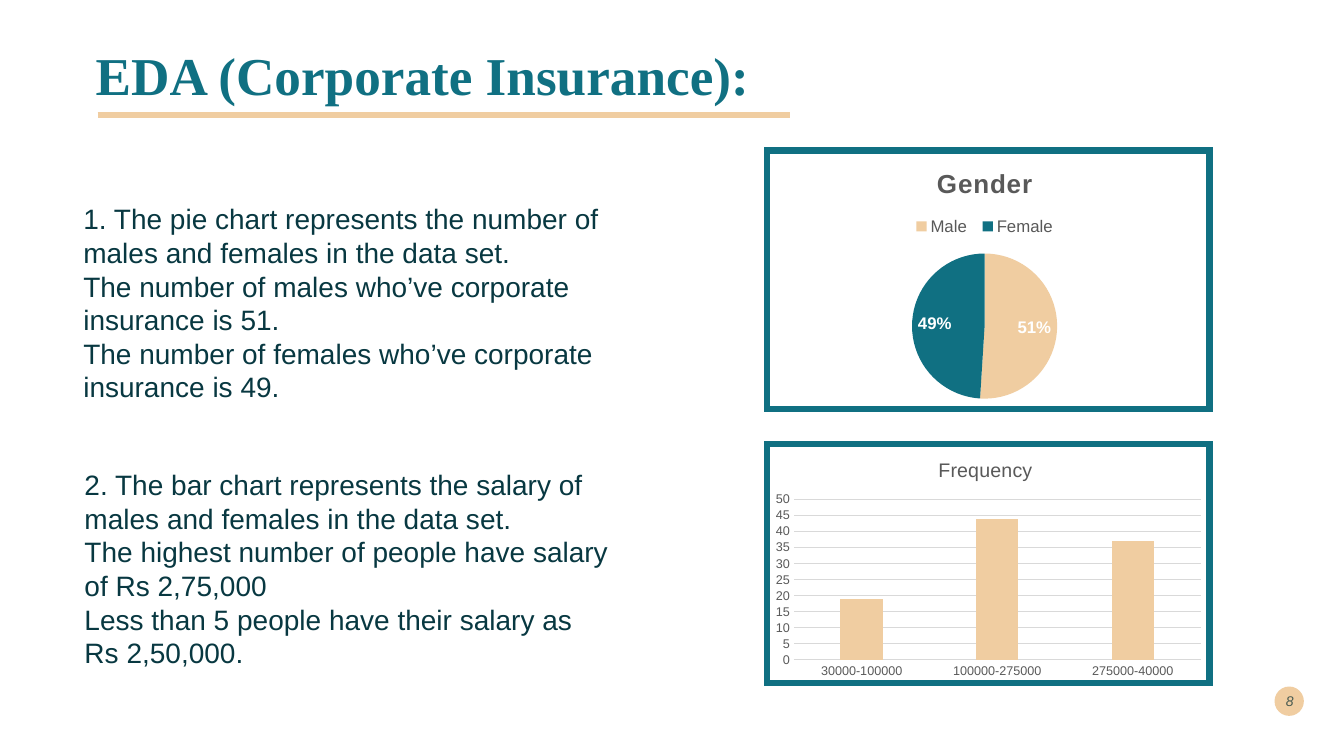
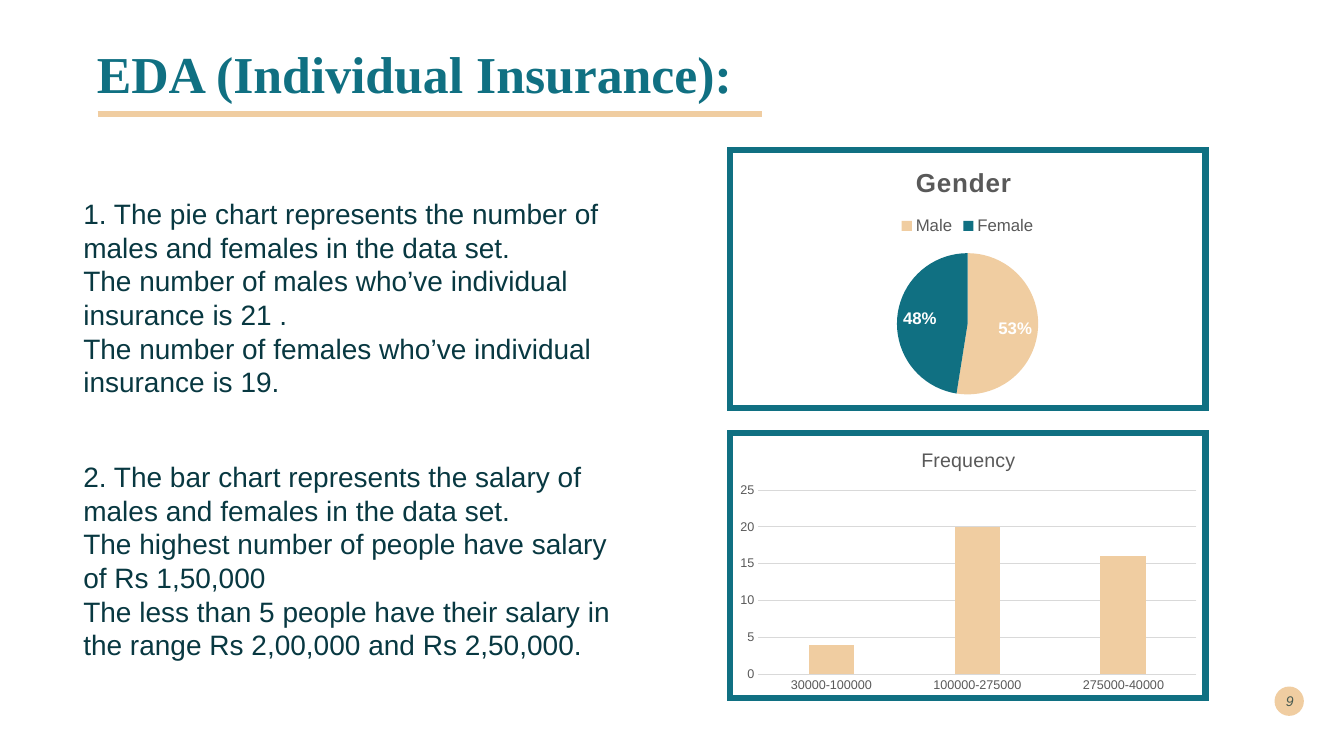
"""Build two slides on the corporate and individual insurance data."""
from lxml import etree
from pptx import Presentation
from pptx.chart.data import CategoryChartData
from pptx.dml.color import RGBColor
from pptx.enum.chart import (XL_CHART_TYPE, XL_LABEL_POSITION,
                             XL_LEGEND_POSITION, XL_TICK_MARK)
from pptx.enum.shapes import MSO_CONNECTOR, MSO_SHAPE
from pptx.enum.text import MSO_ANCHOR, PP_ALIGN
from pptx.oxml.ns import qn
from pptx.util import Cm, Pt

PIE, BAR = XL_CHART_TYPE.PIE, XL_CHART_TYPE.COLUMN_CLUSTERED
IN_END, TOP = XL_LABEL_POSITION.INSIDE_END, XL_LEGEND_POSITION.TOP
NO_TICK = XL_TICK_MARK.NONE
OVAL, RECT, LINE = MSO_SHAPE.OVAL, MSO_SHAPE.RECTANGLE, MSO_CONNECTOR.STRAIGHT
MIDDLE, UPPER = MSO_ANCHOR.MIDDLE, MSO_ANCHOR.TOP
RIGHT, LEFT = PP_ALIGN.RIGHT, PP_ALIGN.LEFT

TEAL, SAND, WHITE = "107082", "F0CDA1", "FFFFFF"
INK, GREY, RULE, PAGE = "083841", "595959", "D9D9D9", "485A50"
SANS, SERIF = "Arial", "Times New Roman"
BANDS = ["30000-100000", "100000-275000", "275000-40000"]
PIE_DROP = 2.6

SLIDES = [
    {
        "page": "8",
        "title": ("EDA (Corporate Insurance):", 38, (2.16, 0.13, 30.5, 3.68)),
        "rule": (2.46, 19.91, 2.9),
        "notes": [
            ((1.85, 4.96, 14.17, 5.38), [
                "1. The pie chart represents the number of males and females in the data set.",
                "The number of males who’ve corporate insurance is 51.",
                "The number of females who’ve corporate insurance is 49."]),
            ((1.88, 11.66, 14.17, 5.38), [
                "2. The bar chart represents the salary of males and females in the data set.",
                "The highest number of people have salary of Rs 2,75,000",
                "Less than 5 people have their salary as",
                "Rs 2,50,000."]),
        ],
        "frames": [(19.33, 3.79, 11.15, 6.51), (19.33, 11.19, 11.15, 6.03)],
        "pie": {"box": (17.98, 3.79, 13.67, 6.6), "size": 3.66,
                "name": "Gender", "cats": ["Male ", "Female"],
                "vals": [51, 49]},
        "bar": {"box": (19.33, 11.18, 11.15, 6.04), "name": "Frequency ",
                "vals": [19, 44, 37], "top": 50},
    },
    {
        "page": "9",
        "title": ("EDA (Individual Insurance):", 37, (2.19, 0.1, 29.2, 3.68)),
        "rule": (2.46, 19.2, 2.87),
        "notes": [
            ((1.85, 4.83, 14.4, 5.38), [
                "1. The pie chart represents the number of males and females in the data set.",
                "The number of males who’ve individual insurance is 21 .",
                "The number of females who’ve individual insurance is 19."]),
            ((1.85, 11.46, 14.4, 5.38), [
                "2. The bar chart represents the salary of males and females in the data set.",
                "The highest number of people have salary of Rs 1,50,000",
                "The less than 5 people have their salary in the range Rs 2,00,000 and Rs 2,50,000."]),
        ],
        "frames": [(18.39, 3.78, 11.99, 6.5), (18.39, 10.91, 11.99, 6.68)],
        "pie": {"box": (18.39, 3.78, 11.99, 6.5), "size": 3.56,
                "name": "Gender ", "cats": ["Male", "Female"],
                "vals": [21, 19]},
        "bar": {"box": (18.42, 10.91, 11.97, 6.68), "name": "Frequency",
                "vals": [4, 20, 16], "top": 25},
    },
]


def rgb(code):
    """Turn a hex string into a colour."""
    return RGBColor.from_string(code)


def cms(box):
    """Turn numbers into centimetres."""
    return [Cm(n) for n in box]


def put(item, **vals):
    """Set each named attribute."""
    for name, val in vals.items():
        setattr(item, name, val)


def style(font, size, color, **vals):
    """Format a font."""
    put(font, **{"name": SANS, "size": Pt(size), "bold": False, **vals})
    font.color.rgb = rgb(color)


def paint(fill, color):
    """Fill with one colour."""
    fill.solid()
    fill.fore_color.rgb = rgb(color)


def stroke(line, color, width):
    """Format a line."""
    paint(line.fill, color)
    line.width = Pt(width)


def write(item, lines, size, color, anchor=UPPER, align=LEFT, gap=1.0,
          **vals):
    """Write one paragraph a line."""
    frame = item.text_frame
    put(frame, word_wrap=True, vertical_anchor=anchor)
    frame.text = "\n".join(lines)
    for para in frame.paragraphs:
        put(para, alignment=align, line_spacing=gap)
        style(para.runs[0].font, size, color, **vals)


def shape(slide, kind, box, fill=None):
    """Add a shape with no shadow and no line."""
    item = slide.shapes.add_shape(kind, *cms(box))
    item.shadow.inherit = False
    item.line.fill.background()
    if fill:
        paint(item.fill, fill)
    else:
        item.fill.background()
    return item


def chart(slide, kind, box, name, cats, vals, size, bold=False):
    """Add a titled chart with one series."""
    data = CategoryChartData()
    data.categories = cats
    data.add_series(name, vals)
    item = slide.shapes.add_chart(kind, *cms(box), data).chart
    style(item.font, 10, "000000")
    item.has_title = True
    frame = item.chart_title.text_frame
    frame.text = name
    style(frame.paragraphs[0].runs[0].font, size, GREY, bold=bold)
    return item


def place(item, box, size):
    """Centre a square plot area in the chart."""
    wide, high = box[2:]
    area = item._chartSpace.chart.plotArea
    for old in area.findall(qn("c:layout")):
        area.remove(old)
    node = etree.Element(qn("c:layout"))
    area.insert(0, node)
    node = etree.SubElement(node, qn("c:manualLayout"))
    spots = {"layoutTarget": "inner", "xMode": "edge", "yMode": "edge",
             "x": (wide - size) / 2 / wide, "y": PIE_DROP / high,
             "w": size / wide, "h": size / high}
    for tag, val in spots.items():
        text = val if isinstance(val, str) else f"{val:.4f}"
        etree.SubElement(node, qn("c:" + tag)).set("val", text)


def pie(slide, box, size, name, cats, vals):
    """Add the gender pie."""
    item = chart(slide, PIE, box, name, cats, vals, 18.6, True)
    run = item.chart_title.text_frame.paragraphs[0].runs[0]
    run._r.get_or_add_rPr().set("spc", "50")
    item.has_legend = True
    put(item.legend, position=TOP, include_in_layout=False)
    style(item.legend.font, 12, GREY)
    plot = item.plots[0]
    put(plot, vary_by_categories=True, has_data_labels=True)
    tags = plot.data_labels
    put(tags, show_percentage=True, show_value=False, position=IN_END,
        number_format="0%", number_format_is_linked=False)
    style(tags.font, 12, WHITE, bold=True)
    for num, color in enumerate((SAND, TEAL)):
        paint(plot.series[0].points[num].format.fill, color)
    place(item, box, size)


def bar(slide, box, name, vals, top):
    """Add the salary columns."""
    item = chart(slide, BAR, box, name, BANDS, vals, 14)
    item.has_legend = False
    plot = item.plots[0]
    put(plot, gap_width=219, overlap=-27, vary_by_categories=False)
    paint(plot.series[0].format.fill, SAND)
    cat, val = item.category_axis, item.value_axis
    for axis in (cat, val):
        put(axis, major_tick_mark=NO_TICK, minor_tick_mark=NO_TICK)
        style(axis.tick_labels.font, 9, GREY)
    put(val, minimum_scale=0, maximum_scale=top, major_unit=5,
        has_major_gridlines=True)
    val.format.line.fill.background()
    for line in (cat.format.line, val.major_gridlines.format.line):
        stroke(line, RULE, 0.75)


def base(slide, page, title, rule):
    """Add the title, its rule and the page number."""
    shape(slide, OVAL, (32.12, 17.3, 0.74, 0.74), SAND)
    spot = slide.shapes.add_textbox(*cms((31.85, 17.15, 1, 1.02)))
    write(spot, [page], 10, PAGE, MIDDLE, RIGHT, italic=True)
    text, size, box = title
    head = slide.shapes.add_textbox(*cms(box))
    write(head, [text], size, TEAL, MIDDLE, gap=0.9, name=SERIF, bold=True)
    start, end, high = rule
    line = slide.shapes.add_connector(LINE, *cms((start, high, end, high)))
    stroke(line.line, SAND, 4.32)
    etree.SubElement(line._element.spPr, qn("a:effectLst"))


def build(slide, page, title, rule, notes, frames, pie_data, bar_data):
    """Fill one slide."""
    base(slide, page, title, rule)
    for box, lines in notes:
        write(shape(slide, RECT, box, WHITE), lines, 20, INK)
    pie(slide, **pie_data)
    bar(slide, **bar_data)
    for box in frames:
        edge = shape(slide, RECT, box)
        stroke(edge.line, TEAL, 4.5)
        join = etree.SubElement(edge.line._get_or_add_ln(), qn("a:miter"))
        join.set("lim", "800000")


def main():
    """Build and save the deck."""
    deck = Presentation()
    put(deck, slide_width=Cm(33.87), slide_height=Cm(19.05))
    for data in SLIDES:
        slide = deck.slides.add_slide(deck.slide_layouts[6])
        build(slide, *data.values())
    deck.save("out.pptx")


if __name__ == "__main__":
    main()
